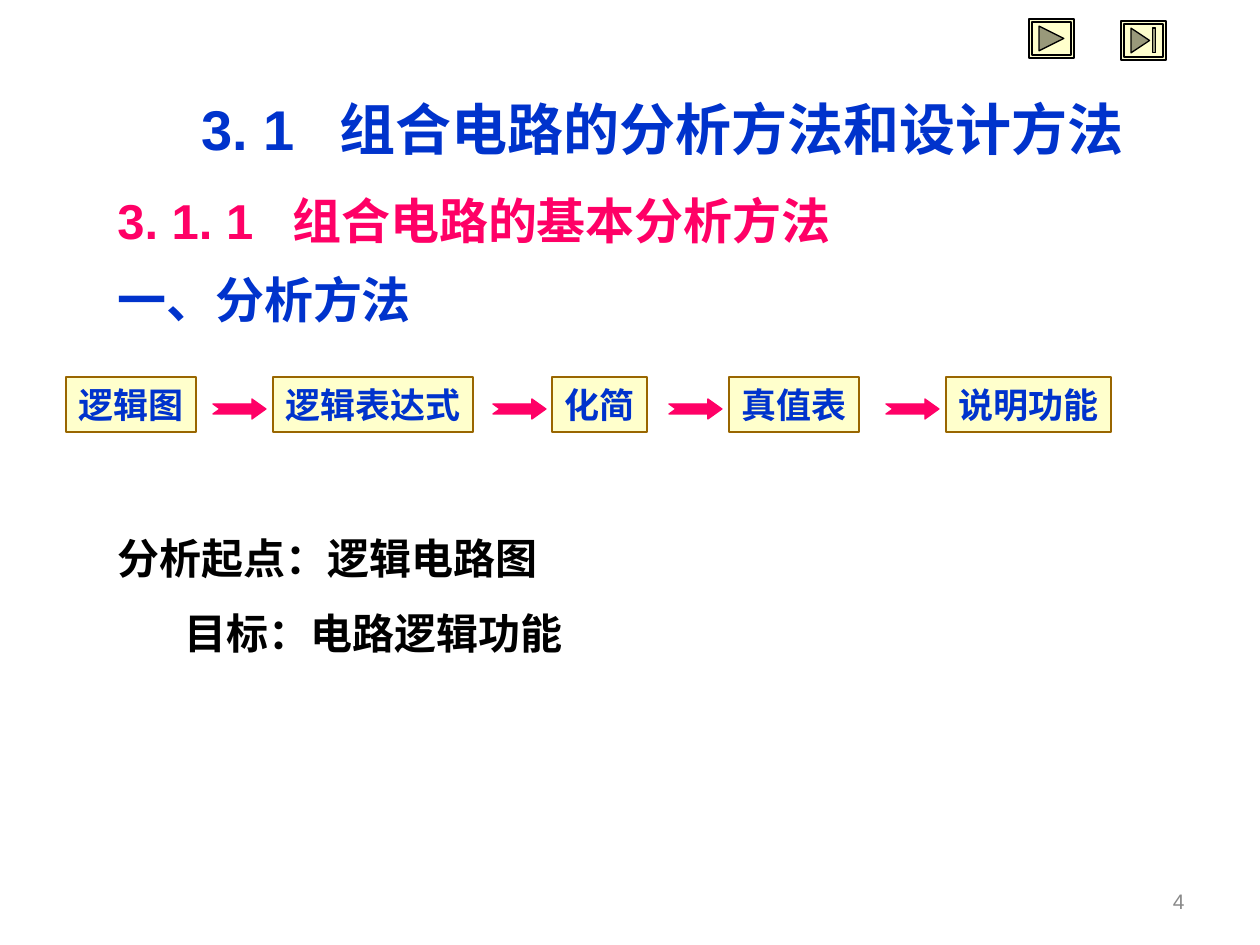
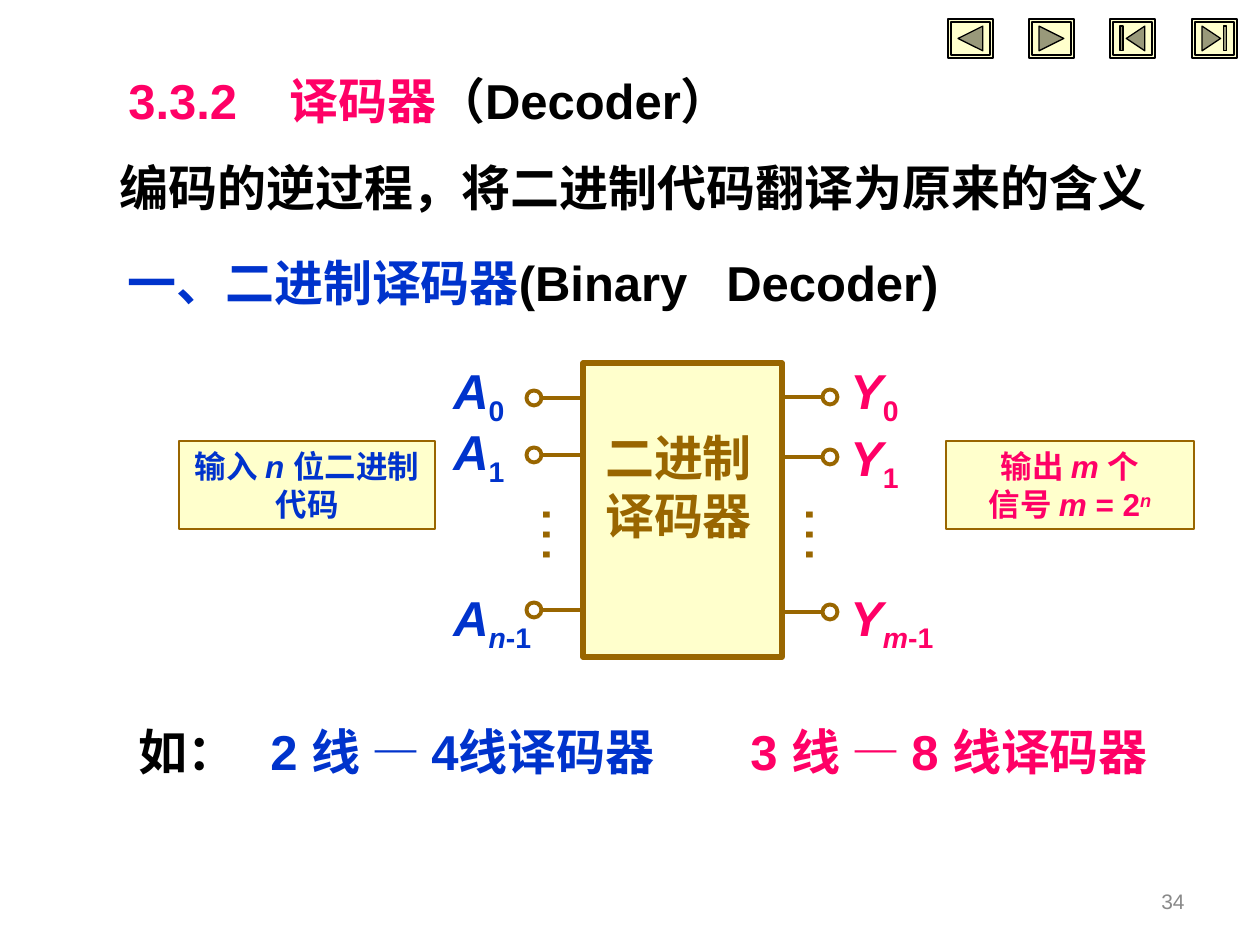
"""Builds two lecture slides on combinational logic and decoders."""
from lxml import etree
from pptx import Presentation, util as u
from pptx.dml.color import RGBColor
from pptx.enum import shapes as s, text as t
from pptx.oxml.ns import qn

INK = {"blue": "0033CC", "pink": "FF0066", "brown": "996600", "cream": "FFFFCC",
       "black": "000000", "grey": "898989"}
LATIN, HAN = "Arial", "Noto Sans CJK SC"
KIND = s.MSO_SHAPE
BACK, NEXT = KIND.ACTION_BUTTON_BACK_OR_PREVIOUS, KIND.ACTION_BUTTON_FORWARD_OR_NEXT
FIRST, LAST = KIND.ACTION_BUTTON_BEGINNING, KIND.ACTION_BUTTON_END

PAGES = [
    {"number": "4",
     "nav": [(NEXT, 1029, 19), (LAST, 1121, 21)],
     "lines": [
         ((189, 88, 1071, 81), ["3. 1\t组合电路的分析方法和设计方法"], 32, "blue", {"tab": 138}),
         ((105, 184, 1123, 72), ["3. 1. 1\t组合电路的基本分析方法"], 28, "pink", {"tab": 175}),
         ((105, 263, 515, 72), ["一、分析方法"], 28, "blue", {}),
         ((105, 501, 630, 82), ["分析起点：逻辑电路图"], 24, "black", {"lead": 1.8}),
         ((105, 576, 630, 82), ["目标：电路逻辑功能"], 24, "black", {"lead": 1.8, "indent": 67})]},
    {"number": "34",
     "nav": [(BACK, 948, 19), (NEXT, 1029, 19), (FIRST, 1110, 19), (LAST, 1192, 19)],
     "lines": [
         ((116, 64, 813, 72), ["3.3.2\t译码器", ("（Decoder）", "black")], 28, "pink", {"tab": 161}),
         ((107, 151, 1153, 72), ["编码的逆过程，将二进制代码翻译为原来的含义"], 28, "black", {}),
         ((115, 246, 1051, 72), ["一、二进制译码器", ("(Binary\tDecoder)", "black")],
          28, "blue", {"tab": 599}),
         ((126, 715, 599, 72), [("如：\t", "black"), "2 线 — 4线译码器"], 28, "blue", {"tab": 132}),
         ((738, 715, 515, 72), ["3 线 — 8 线译码器"], 28, "pink", {})]},
]
STEPS = [("逻辑图", 66, 130), ("逻辑表达式", 273, 200), ("化简", 552, 95),
         ("真值表", 729, 130), ("说明功能", 946, 165)]
ARROWS = [213, 493, 669, 886]
NOTES = [
    ((179, 441, 256, 88), "blue", [["输入 ", ("n ", "it"), "位二进制代码"]]),
    ((946, 441, 248, 88), "pink",
     [["输出 ", ("m ", "it"), "个"], ["信号 ", ("m ", "it"), "= 2", ("n", "it sup")]]),
]
BLOCK = (583, 363, 199, 294)
PINS = [
    ("A", "blue", 441, 534, 583, 569, [(398, 362, "0", ""), (455, 423, "1", ""), (610, 589, "n", "-1")]),
    ("Y", "pink", 838, 830, 782, 832, [(397, 362, "0", ""), (457, 429, "1", ""), (612, 589, "m", "-1")]),
]
DOT = 15
RAISE = {"sub": "-25000", "sup": "30000"}


def px(n):
    return round(n * 914400 / 126)


def rgb(ink):
    return RGBColor.from_string(INK[ink])


def style(run, look):
    for word in look.split():
        if word in RAISE:
            run._r.get_or_add_rPr().set("baseline", RAISE[word])
        elif word == "it":
            run.font.italic = True
        else:
            run.font.color.rgb = rgb(word)


def write(shape, paras, size, ink, align="LEFT", anchor="TOP", wrap=True,
          bold=True, lead=1.2, tab=0, indent=0):
    frame = shape.text_frame
    frame.word_wrap = wrap
    frame.vertical_anchor = t.MSO_ANCHOR[anchor]
    frame.margin_left = frame.margin_right = u.Inches(0.1)
    frame.margin_top = frame.margin_bottom = u.Inches(0.05)
    for i, runs in enumerate(paras):
        para = frame.add_paragraph() if i else frame.paragraphs[0]
        props = para._p.get_or_add_pPr()
        if indent:
            props.set("marL", str(px(indent)))
        if tab:
            stops = etree.SubElement(props, qn("a:tabLst"))
            etree.SubElement(stops, qn("a:tab"), pos=str(px(tab)), algn="l")
        para.alignment = t.PP_ALIGN[align]
        para.line_spacing = u.Pt(round(size * lead, 1))
        font = para.font
        font.size, font.bold, font.name = u.Pt(size), bold, LATIN
        font.color.rgb = rgb(ink)
        words = [(r, "") if isinstance(r, str) else r for r in runs]
        if any(ord(c) > 0x2FFF for word, _ in words for c in word):
            etree.SubElement(props.find(qn("a:defRPr")), qn("a:ea"), typeface=HAN)
        for word, look in words:
            run = para.add_run()
            run.text = word
            style(run, look)


def label(slide, box, paras, size, ink, **opts):
    shape = slide.shapes.add_textbox(*map(px, box))
    write(shape, paras, size, ink, **opts)
    return shape


def draw(slide, kind, box, fill="cream", line="brown", width=0.75):
    shape = slide.shapes.add_shape(kind, *map(px, box))
    shape.shadow.inherit = False
    if fill:
        shape.fill.solid()
        shape.fill.fore_color.rgb = rgb(fill)
    else:
        shape.fill.background()
    shape.line.color.rgb = rgb(line)
    shape.line.width = u.Pt(width)
    return shape


def wire(slide, start, end, y):
    line = slide.shapes.add_connector(s.MSO_CONNECTOR.STRAIGHT, px(start), px(y), px(end), px(y))
    line.line.color.rgb = rgb("brown")
    line.line.width = u.Pt(2.25)
    etree.SubElement(line._element.spPr, qn("a:effectLst"))


def start(deck, page):
    slide = deck.slides.add_slide(deck.slide_layouts[6])
    for kind, x, y in page["nav"]:
        draw(slide, KIND.RECTANGLE, (x, y, 45, 39), line="black")
        draw(slide, kind, (x + 3, y + 3, 39, 33), line="black")
    for box, runs, size, ink, opts in page["lines"]:
        label(slide, box, [runs], size, ink, **opts)
    label(slide, (903, 876, 294, 50), [[page["number"]]], 12, "grey",
          align="RIGHT", anchor="MIDDLE", bold=False)
    return slide


def flow(slide):
    for name, x, wide in STEPS:
        step = draw(slide, KIND.RECTANGLE, (x, 377, wide, 55))
        write(step, [[name]], 20, "blue", wrap=False)
    for x in ARROWS:
        arrow = draw(slide, KIND.NOTCHED_RIGHT_ARROW, (x, 399, 53, 20), "pink", "pink")
        arrow.adjustments[0], arrow.adjustments[1] = 0.5, 0.7


def decoder(slide):
    for box, ink, paras in NOTES:
        write(draw(slide, KIND.RECTANGLE, box), paras, 18, ink, align="CENTER")
    draw(slide, KIND.RECTANGLE, BLOCK, width=3)
    left, _, wide, _ = BLOCK
    label(slide, (left - 4, 421, wide, 131), [["二进制"], ["译码器"]], 28, "brown", align="CENTER")
    for name, ink, left, dot, edge, mid, pins in PINS:
        rim = dot + (DOT // 2 if edge > dot else -(DOT // 2))
        for y, top, index, rest in pins:
            wire(slide, rim, edge, y)
            draw(slide, KIND.OVAL, (dot - DOT / 2, y - DOT / 2, DOT, DOT), None, width=2.25)
            runs = [(name, "it"), (index, "it sub" if rest else "sub")]
            if rest:
                runs.append((rest, "sub"))
            label(slide, (left, top, 150, 79), [runs], 28, ink)
        dots = label(slide, (mid - 44, 491, 88, 88), [["…"]], 36, "brown", wrap=False, bold=False)
        dots.rotation = 90


def main():
    deck = Presentation()
    deck.slide_width, deck.slide_height = px(1260), px(945)
    for page, body in zip(PAGES, (flow, decoder)):
        body(start(deck, page))
    deck.save("out.pptx")


if __name__ == "__main__":
    main()
